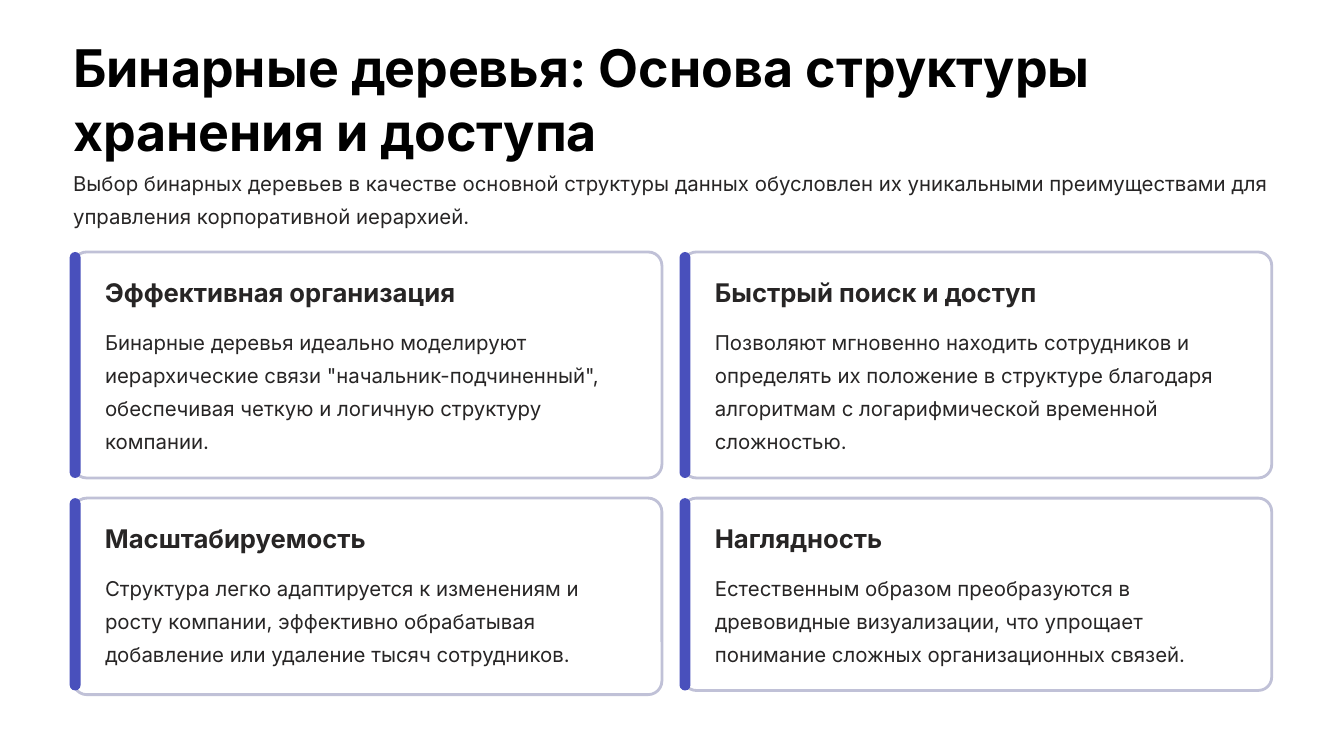
from pptx import Presentation
from pptx.dml.color import RGBColor
from pptx.enum.shapes import MSO_SHAPE
from pptx.enum.text import MSO_ANCHOR, PP_ALIGN
from pptx.util import Inches, Pt


def color(value):
    return RGBColor.from_string(value)


class SlideBuilder:
    font = "Inter"
    ink = "272525"
    accent = "4950BC"
    border = "C0C1D7"
    paper = "FFFFFF"

    def __init__(self, slide):
        self.slide = slide

    def text(self, left, top, width, height, lines, size, spacing,
             bold=False, ink=ink, wrap=True):
        box = self.slide.shapes.add_textbox(
            Inches(left), Inches(top), Inches(width), Inches(height))
        frame = box.text_frame
        frame.word_wrap = wrap
        frame.vertical_anchor = MSO_ANCHOR.TOP
        frame.margin_left = frame.margin_right = 0
        frame.margin_top = frame.margin_bottom = 0
        frame.text = "\n".join(lines)
        for paragraph in frame.paragraphs:
            paragraph.alignment = PP_ALIGN.LEFT
            paragraph.line_spacing = Pt(spacing)
            paragraph.font.name = self.font
            paragraph.font.size = Pt(size)
            paragraph.font.bold = bold
            paragraph.font.color.rgb = color(ink)

    def heading(self, left, top, width, text):
        self.text(left, top, width, 0.39, [text], 22, 27.5, bold=True, wrap=False)

    def body(self, left, top, width, height, text):
        self.text(left, top, width, height, [text], 17.5, 28.5)

    def panel(self, left, top, width, height, fill, rounding=None, line=None):
        kind = MSO_SHAPE.RECTANGLE if rounding is None else MSO_SHAPE.ROUNDED_RECTANGLE
        shape = self.slide.shapes.add_shape(
            kind, Inches(left), Inches(top), Inches(width), Inches(height))
        shape.shadow.inherit = False
        if rounding is not None:
            shape.adjustments[0] = rounding
        shape.fill.solid()
        shape.fill.fore_color.rgb = color(fill)
        if line:
            shape.line.color.rgb = color(line)
            shape.line.width = Pt(2.4)
        else:
            shape.line.fill.background()

    def card(self, left, top, height, bar_height, rounding, title, text):
        self.panel(left, top, 7.01, height, self.paper, rounding, self.border)
        self.panel(left - 0.04, top, 0.13, bar_height, self.accent, 0.5)
        self.heading(left + 0.38, top + 0.28, 4.24, title)
        self.body(left + 0.38, top + 0.82, 6.35, bar_height - 1.1, text)


CARDS = [
    (2.69, 2.69, 0.06, "Эффективная организация",
     "Бинарные деревья идеально моделируют иерархические связи "
     "\"начальник-подчиненный\", обеспечивая четкую и логичную структуру компании."),
    (2.69, 2.69, 0.06, "Быстрый поиск и доступ",
     "Позволяют мгновенно находить сотрудников и определять их положение в "
     "структуре благодаря алгоритмам с логарифмической временной сложностью."),
    (2.34, 2.29, 0.07, "Масштабируемость",
     "Структура легко адаптируется к изменениям и росту компании, эффективно "
     "обрабатывая добавление или удаление тысяч сотрудников."),
    (2.29, 2.29, 0.07, "Наглядность",
     "Естественным образом преобразуются в древовидные визуализации, что "
     "упрощает понимание сложных организационных связей."),
]


def main():
    deck = Presentation()
    deck.slide_width = Inches(16)
    deck.slide_height = Inches(9)
    page = SlideBuilder(deck.slides.add_slide(deck.slide_layouts[6]))

    page.panel(0, 0, 16, 9, page.paper)
    page.text(0.87, 0.39, 12.6, 1.54,
              ["Бинарные деревья: Основа структуры", "хранения и доступа"],
              44.5, 55.5, bold=True, ink="000000")
    page.body(0.87, 1.93, 14.26, 0.79,
              "Выбор бинарных деревьев в качестве основной структуры данных "
              "обусловлен их уникальными преимуществами для управления "
              "корпоративной иерархией.")
    for index, card in enumerate(CARDS):
        row, column = divmod(index, 2)
        page.card(0.87 + column * 7.26, 3 + row * 2.93, *card)

    deck.save("out.pptx")


if __name__ == "__main__":
    main()
